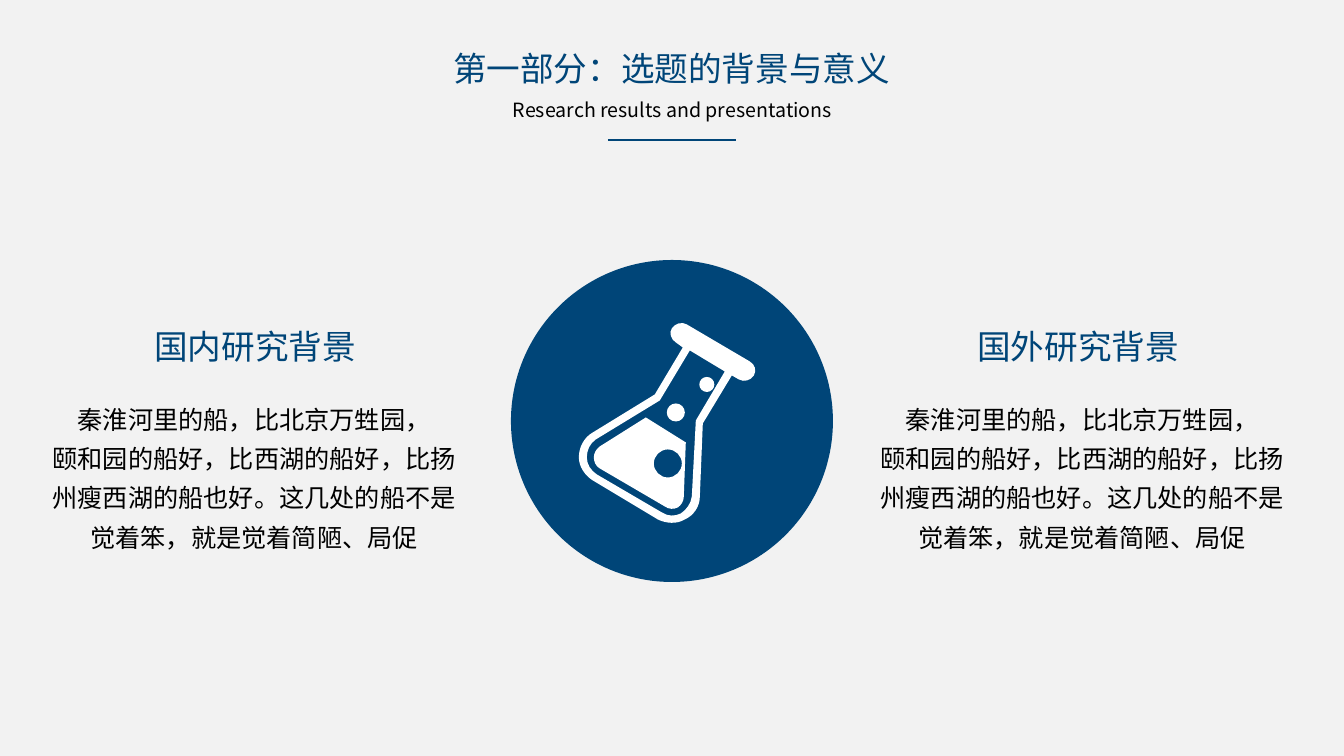
"""Build the research background slide with a flask emblem between two columns."""
from math import cos, radians, sin

from lxml import etree
from pptx import Presentation
from pptx.dml.color import RGBColor
from pptx.enum.shapes import MSO_CONNECTOR, MSO_SHAPE
from pptx.enum.text import MSO_AUTO_SIZE, PP_ALIGN
from pptx.oxml.ns import qn
from pptx.util import Emu, Pt

STRAIGHT = MSO_CONNECTOR.STRAIGHT
OVAL = MSO_SHAPE.OVAL
GROW = MSO_AUTO_SIZE.SHAPE_TO_FIT_TEXT
CENTER = PP_ALIGN.CENTER

TITLE = "第一部分：选题的背景与意义"
SUBTITLE = "Research results and presentations"
BODY = [
    "秦淮河里的船，比北京万甡园，",
    "颐和园的船好，比西湖的船好，比扬州瘦西湖的船也好。这几处的船不是觉着笨，就是觉着简陋、局促",
]
COLUMNS = [
    {"heading": "国内研究背景", "heading_left": 47, "body_left": 35},
    {"heading": "国外研究背景", "heading_left": 870, "body_left": 863},
]

FLASK_TILT = 30.7
FLASK_CENTER = (671, 422)
BUBBLES = [(668, 464, 28), (676, 413, 18), (707, 385, 15)]
FLASK_OUTLINES = [
    [(646, 418), (686, 443), (684, 497), (684, 502, 681, 506, 678, 508),
     (674, 510, 669, 510, 665, 507), (600, 469), (596, 467, 594, 462, 594, 458),
     (594, 454, 596, 450, 600, 447)],
    [(690, 351), (660, 401), (596, 440), (590, 444, 587, 451, 587, 458),
     (587, 465, 591, 471, 597, 475), (662, 513), (668, 517, 675, 517, 681, 514),
     (687, 510, 691, 504, 692, 497), (696, 421), (725, 372)],
    [(687, 325), (750, 362), (755, 365, 757, 371, 754, 376),
     (751, 381, 744, 383, 739, 380), (732, 376), (703, 424), (700, 497),
     (700, 507, 694, 516, 685, 520), (677, 525, 666, 524, 658, 520), (593, 481),
     (585, 476, 579, 467, 579, 458), (579, 448, 584, 438, 593, 433), (655, 395),
     (683, 348), (676, 343), (671, 340, 669, 333, 672, 329),
     (675, 324, 682, 322, 687, 325)],
]

THEME = {
    "font": "Noto Sans CJK SC",
    "paper": RGBColor.from_string("F2F2F2"),
    "navy": RGBColor.from_string("004578"),
    "black": RGBColor.from_string("000000"),
    "white": RGBColor.from_string("FFFFFF"),
    "heading": 24,
    "subtitle": 14,
    "body": 18,
    "rule": 1.5,
}
PX = 914400 / 100.8
ARC = 0.55


def px(length):
    return Emu(round(length * PX))


def apply(target, values):
    for name, value in values.items():
        setattr(target, name, value)


def add_text(page, area, lines, size, color, paragraph_format=None):
    box = page.shapes.add_textbox(*map(px, area))
    frame = box.text_frame
    apply(frame, {"word_wrap": True, "auto_size": GROW})
    for index, line in enumerate(lines):
        para = frame.add_paragraph() if index else frame.paragraphs[0]
        apply(para, {"alignment": CENTER, **(paragraph_format or {})})
        span = para.add_run()
        span.text = line
        apply(span.font, {"name": THEME["font"], "size": Pt(THEME[size])})
        span.font.color.rgb = THEME[color]
        east_asian = etree.SubElement(span._r.get_or_add_rPr(), qn("a:ea"))
        east_asian.set("typeface", THEME["font"])


def paint(shape, color):
    shape.shadow.inherit = False
    shape.fill.solid()
    shape.fill.fore_color.rgb = THEME[color]
    shape.line.fill.background()


def circle(x, y, diameter):
    radius = diameter / 2
    outline = [(x + radius, y)]
    for u, v in [(1, 0), (0, 1), (-1, 0), (0, -1)]:
        corners = [(u - ARC * v, v + ARC * u), (ARC * u - v, ARC * v + u), (-v, u)]
        outline.append(tuple(
            value for a, b in corners for value in (x + radius * a, y + radius * b)))
    return outline


def upright(step):
    angle = radians(-FLASK_TILT)
    center_x, center_y = FLASK_CENTER
    points = []
    for x, y in zip(step[::2], step[1::2]):
        x, y = x - center_x, y - center_y
        points.append((px(center_x + x * cos(angle) - y * sin(angle)),
                       px(center_y + x * sin(angle) + y * cos(angle))))
    return points


def bend(segment, points, left, top):
    segment.tag = qn("a:cubicBezTo")
    segment.clear()
    for x, y in points:
        point = etree.SubElement(segment, qn("a:pt"))
        point.set("x", str(x - left))
        point.set("y", str(y - top))


def add_flask(page):
    outlines = FLASK_OUTLINES + [circle(*bubble) for bubble in BUBBLES]
    outlines = [[upright(step) for step in outline] for outline in outlines]
    builder = page.shapes.build_freeform(*outlines[0][0][0])
    for index, outline in enumerate(outlines):
        if index:
            builder.move_to(*outline[0][0])
        builder.add_line_segments([step[-1] for step in outline[1:]], close=True)
    flask = builder.convert_to_shape()
    steps = [step for outline in outlines for step in outline[1:]]
    segments = list(flask._element.iter(qn("a:lnTo")))
    for segment, step in zip(segments, steps):
        if len(step) == 3:
            curve = etree.Element(qn("a:cubicBezTo"))
            segment.getparent().replace(segment, curve)
            bend(curve, step, flask.left, flask.top)
    paint(flask, "white")
    flask.rotation = FLASK_TILT


def main():
    deck = Presentation()
    apply(deck, {"slide_width": px(1344), "slide_height": px(756)})
    page = deck.slides.add_slide(deck.slide_layouts[6])
    page.background.fill.solid()
    page.background.fill.fore_color.rgb = THEME["paper"]

    add_text(page, (398, 43, 547, 50), [TITLE], "heading", "navy")
    add_text(page, (323, 93, 699, 34), [SUBTITLE], "subtitle", "black")
    rule = page.shapes.add_connector(STRAIGHT, *map(px, (608, 140, 736, 140)))
    rule.line.color.rgb = THEME["navy"]
    rule.line.width = Pt(THEME["rule"])
    etree.SubElement(rule._element.spPr, qn("a:effectLst"))

    paint(page.shapes.add_shape(OVAL, *map(px, (511, 260, 322, 322))), "navy")
    add_flask(page)

    for column in COLUMNS:
        add_text(page, (column["heading_left"], 321, 416, 50),
                 [column["heading"]], "heading", "navy")
        add_text(page, (column["body_left"], 390, 438, 165),
                 BODY, "body", "black", {"line_spacing": 1.3})
    deck.save("out.pptx")


if __name__ == "__main__":
    main()
